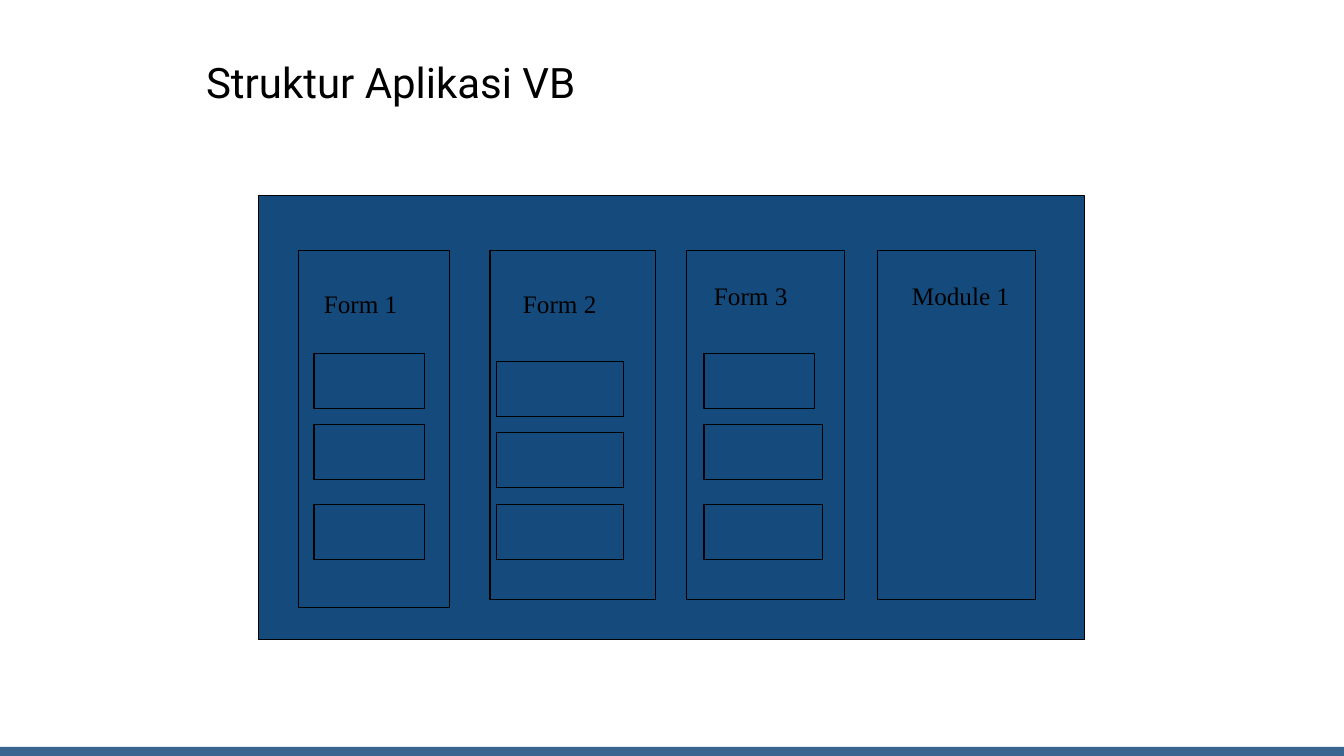
from pptx import Presentation, util as u
from pptx.dml import color
from pptx.enum import shapes, text

SCALE = 914400 / 100.8
SLIDE = (1344, 756)
NAVY, STEEL, BLACK = "154B7C", "386690", "000000"
CONTROL_HEIGHT = 55
LABEL_HEIGHT = 40

PARTS = [
    {"label": "Form 1", "box": (40, 55, 151, 357), "label_box": (15, 32, 119),
     "controls": [(15, 103, 111), (15, 174, 111), (15, 254, 111)]},
    {"label": "Form 2", "box": (231, 55, 166, 349), "label_box": (23, 32, 103),
     "controls": [(7, 111, 127), (7, 182, 127), (7, 254, 127)]},
    {"label": "Form 3", "box": (428, 55, 158, 349), "label_box": (17, 24, 111),
     "controls": [(17, 103, 111), (17, 174, 119), (17, 254, 119)]},
    {"label": "Module 1", "box": (619, 55, 158, 349), "label_box": (24, 24, 119),
     "controls": []},
]


def px(length):
    return u.Emu(round(length * SCALE))


def emu(box):
    return [px(length) for length in box]


def rgb(code):
    return color.RGBColor.from_string(code)


def apply(target, formats):
    for key, value in formats.items():
        setattr(target, key, value)


def write(frame, words, font, size):
    apply(frame, {"word_wrap": True, "vertical_anchor": text.MSO_ANCHOR.MIDDLE})
    paragraph = frame.paragraphs[0]
    paragraph.alignment = text.PP_ALIGN.LEFT
    run = paragraph.add_run()
    run.text = words
    apply(run.font, {"name": font, "size": u.Pt(size)})
    run.font.color.rgb = rgb(BLACK)
    return paragraph


def add_box(slide, box, fill, outline=BLACK):
    panel = slide.shapes.add_shape(shapes.MSO_SHAPE.RECTANGLE, *emu(box))
    panel.shadow.inherit = False
    panel.fill.solid()
    panel.fill.fore_color.rgb = rgb(fill)
    if outline:
        panel.line.color.rgb = rgb(outline)
        panel.line.width = u.Pt(0.75)
    else:
        panel.line.fill.background()


def add_title(slide, box):
    title = slide.shapes.title
    apply(title, dict(zip(("left", "top", "width", "height"), emu(box))))
    heading = write(title.text_frame, "Struktur Aplikasi VB", "Roboto", 30)
    heading.line_spacing = 0.9


def add_part(slide, box, part):
    left, top, _, _ = box
    add_box(slide, box, NAVY)
    for dx, dy, width in part["controls"]:
        add_box(slide, (left + dx, top + dy, width, CONTROL_HEIGHT), NAVY)
    dx, dy, width = part["label_box"]
    label = slide.shapes.add_textbox(*emu((left + dx, top + dy, width, LABEL_HEIGHT)))
    label.text_frame.margin_right = 0
    write(label.text_frame, part["label"], "Times New Roman", 18)


def add_application(slide, box):
    left, top, _, _ = box
    add_box(slide, box, NAVY)
    for part in PARTS:
        dx, dy, width, height = part["box"]
        add_part(slide, (left + dx, top + dy, width, height), part)


def main():
    deck = Presentation()
    apply(deck, {"slide_width": px(SLIDE[0]), "slide_height": px(SLIDE[1])})
    slide = deck.slides.add_slide(deck.slide_layouts[5])
    add_box(slide, (0, 747, SLIDE[0], 9), STEEL, None)
    add_title(slide, (196, 44, 795, 82))
    add_application(slide, (259, 196, 826, 444))
    deck.save("out.pptx")


if __name__ == "__main__":
    main()
